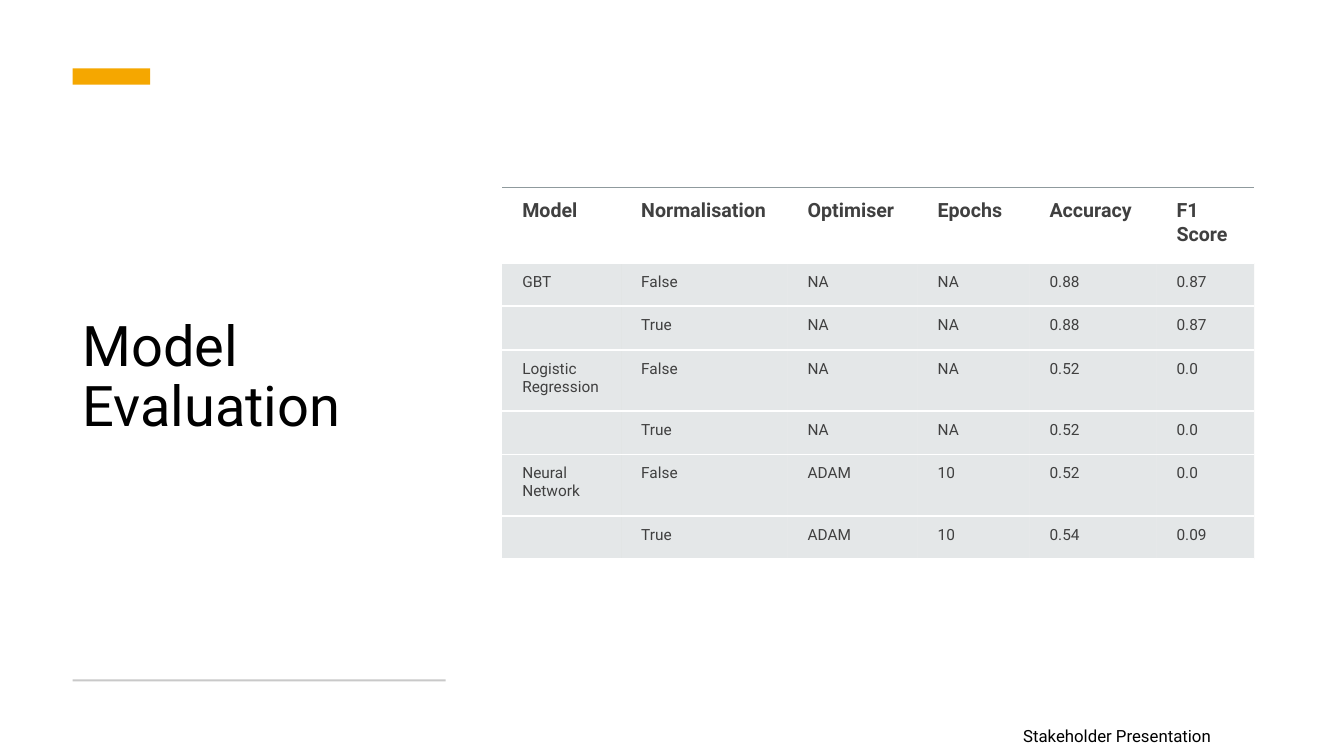
from lxml import etree
from pptx import Presentation
from pptx.dml.color import RGBColor
from pptx.enum import shapes, text
from pptx.oxml import ns
from pptx.util import Inches, Pt

COLORS = {
    "accent": "F5A700",
    "rule": "C9C9C9",
    "title": "000000",
    "cell_text": "404040",
    "cell_fill": "B4BCBE",
    "header_line": "8F9A9D",
    "row_line": "FFFFFF",
}
FONT = "Roboto"
NO_GRID_STYLE = "{2D5ABB26-0587-4C30-8999-92F81FD0307C}"

TITLE = "Model Evaluation"
FOOTER = "Stakeholder Presentation"
BARS = [
    ("accent", 0.72, 0.68, 0.77, 0.16),
    ("rule", 0.72, 6.74, 3.7, 0.02),
]
RESULTS = [
    ("Model", "Normalisation", "Optimiser", "Epochs", "Accuracy", "F1 Score"),
    ("GBT", "False", "NA", "NA", "0.88", "0.87"),
    ("", "True", "NA", "NA", "0.88", "0.87"),
    ("Logistic Regression", "False", "NA", "NA", "0.52", "0.0"),
    ("", "True", "NA", "NA", "0.52", "0.0"),
    ("Neural Network", "False", "ADAM", "10", "0.52", "0.0"),
    ("", "True", "ADAM", "10", "0.54", "0.09"),
]
COL_WIDTHS = [1.18, 1.65, 1.29, 1.11, 1.26, 0.97]
ROW_HEIGHTS = [0.75, 0.43, 0.43, 0.61, 0.43, 0.61, 0.43]
TABLE_LEFT, TABLE_TOP = 4.98, 1.86


def rgb(name):
    return RGBColor.from_string(COLORS[name])


def add_run(p, content, size, color, bold=False):
    r = p.add_run()
    r.text = content
    r.font.name = FONT
    r.font.size = Pt(size)
    r.font.bold = bold
    r.font.color.rgb = rgb(color)


def add_text(slide, content, box, size):
    tf = slide.shapes.add_textbox(*map(Inches, box)).text_frame
    tf.word_wrap = True
    tf.vertical_anchor = text.MSO_ANCHOR.MIDDLE
    p = tf.paragraphs[0]
    add_run(p, content, size, "title")
    return p


def add_bar(slide, color, *box):
    sp = slide.shapes.add_shape(shapes.MSO_SHAPE.RECTANGLE, *map(Inches, box))
    sp.shadow.inherit = False
    sp.fill.solid()
    sp.fill.fore_color.rgb = rgb(color)
    sp.line.fill.background()


def set_alpha(parent, percent):
    clr = parent.find(".//" + ns.qn("a:srgbClr"))
    etree.SubElement(clr, ns.qn("a:alpha"), val=str(percent * 1000))


def add_border(cell, index, side, color, alpha=100):
    ln = etree.Element(ns.qn("a:" + side), w=str(Pt(1.5)))
    fill = etree.SubElement(ln, ns.qn("a:solidFill"))
    etree.SubElement(fill, ns.qn("a:srgbClr"), val=COLORS[color])
    set_alpha(ln, alpha)
    cell._tc.get_or_add_tcPr().insert(index, ln)


def fill_cell(cell, content, header):
    pad, size = (0.12, 14) if header else (0.1, 11)
    cell.margin_left = Inches(0.2)
    cell.margin_right = cell.margin_top = cell.margin_bottom = Inches(pad)
    p = cell.text_frame.paragraphs[0]
    if content:
        add_run(p, content, size, "cell_text", header)
    else:
        etree.SubElement(p._p, ns.qn("a:endParaRPr"), sz=str(size * 100))
    if header:
        cell.fill.background()
        add_border(cell, 0, "lnT", "header_line", 60)
    else:
        cell.fill.solid()
        cell.fill.fore_color.rgb = rgb("cell_fill")
        set_alpha(cell._tc.tcPr, 35)
        add_border(cell, 0, "lnT", "row_line")
    add_border(cell, 1, "lnB", "row_line")


def add_results(slide):
    box = (TABLE_LEFT, TABLE_TOP, sum(COL_WIDTHS), sum(ROW_HEIGHTS))
    frame = slide.shapes.add_table(len(RESULTS), len(COL_WIDTHS), *map(Inches, box))
    table = frame.table
    table.horz_banding = False
    table._tbl.tblPr.find(ns.qn("a:tableStyleId")).text = NO_GRID_STYLE
    for column, width in zip(table.columns, COL_WIDTHS):
        column.width = Inches(width)
    for i, (row, height) in enumerate(zip(table.rows, ROW_HEIGHTS)):
        row.height = Inches(height)
        for cell, content in zip(row.cells, RESULTS[i]):
            fill_cell(cell, content, header=i == 0)


def main():
    prs = Presentation()
    prs.slide_width, prs.slide_height = Inches(13.33), Inches(7.5)
    slide = prs.slides.add_slide(prs.slide_layouts[6])
    title = add_text(slide, TITLE, (0.72, 1.05, 3.7, 5.41), 40)
    title.line_spacing = 0.9
    for bar in BARS:
        add_bar(slide, *bar)
    footer = add_text(slide, FOOTER, (8.83, 7.1, 4.5, 0.4), 12)
    footer.alignment = text.PP_ALIGN.CENTER
    footer.space_after = Pt(6)
    add_results(slide)
    prs.save("out.pptx")


if __name__ == "__main__":
    main()
